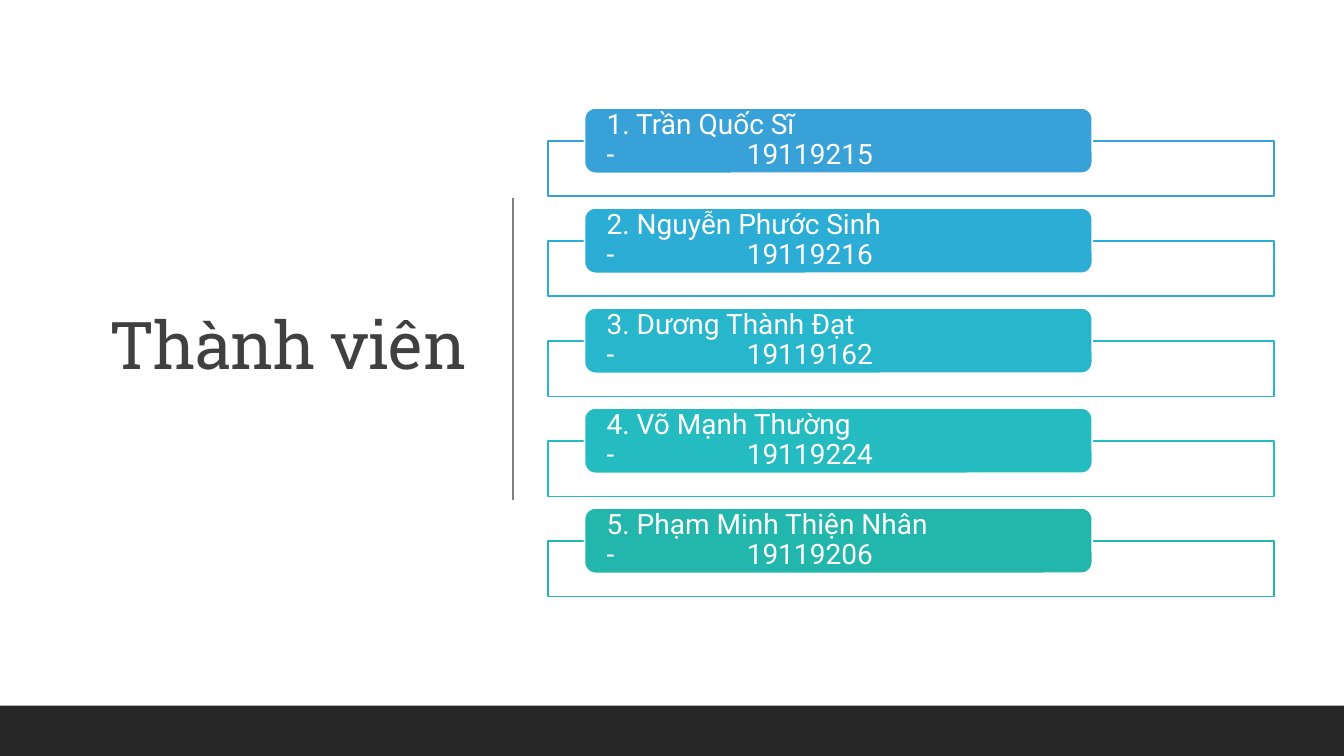
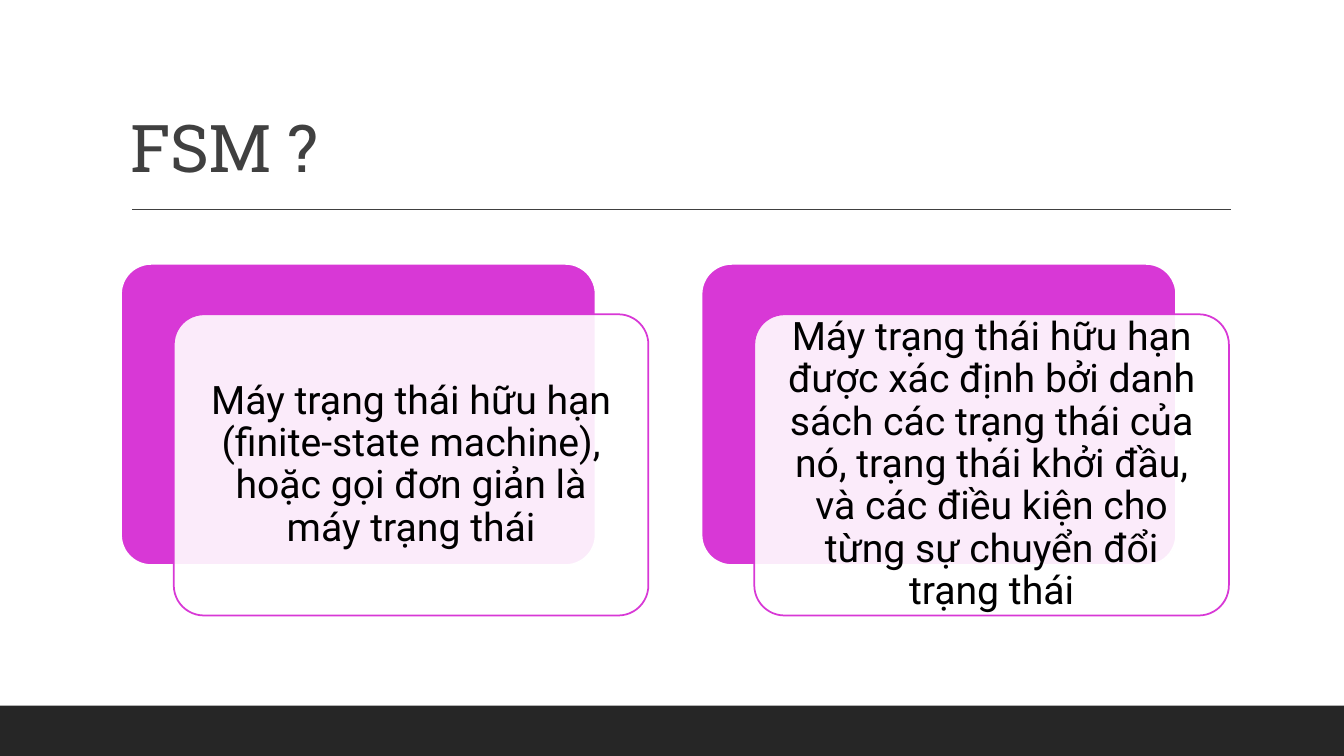
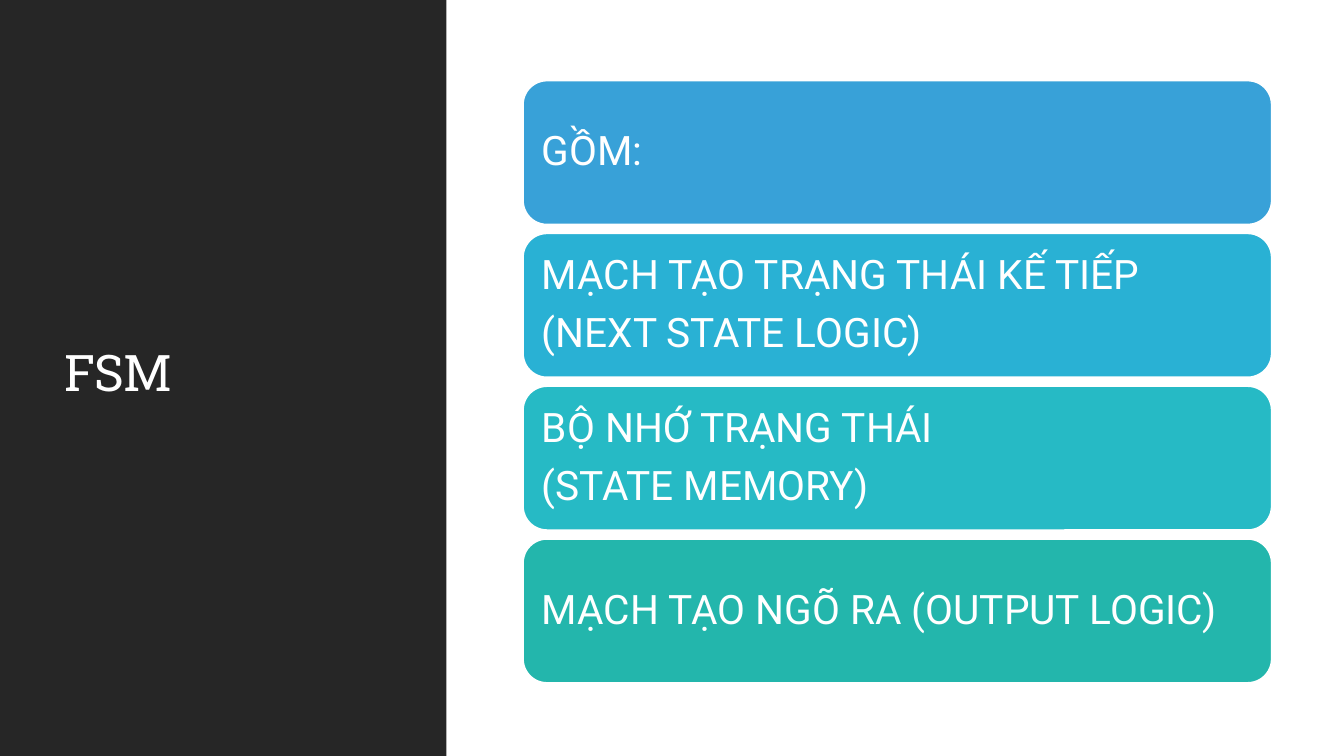
from lxml import etree
from pptx import Presentation
from pptx.dml.color import RGBColor
from pptx.enum import shapes, text
from pptx.oxml import ns
from pptx.util import Cm, Pt

WHITE = RGBColor(0xFF, 0xFF, 0xFF)
BLACK = RGBColor(0, 0, 0)
DARK = RGBColor(0x26, 0x26, 0x26)
SLATE = RGBColor(0x40, 0x40, 0x40)
GREY = RGBColor(0x80, 0x80, 0x80)
PINK = RGBColor(0xD8, 0x38, 0xD6)
BLUE = RGBColor(0x38, 0xA1, 0xD8)
GREEN = RGBColor(0x23, 0xB6, 0xAC)
SKY = RGBColor(0x2C, 0xAD, 0xD6)
CYAN = RGBColor(0x28, 0xB6, 0xCD)
TEAL = RGBColor(0x25, 0xBC, 0xC1)
AZURE = RGBColor(0x29, 0xB1, 0xD4)
AQUA = RGBColor(0x26, 0xBA, 0xC5)

HEAD = "Roboto Slab"
BODY = "Roboto"
WIDE, HIGH = 33.87, 19.05
RECT = shapes.MSO_SHAPE.RECTANGLE
ROUND = shapes.MSO_SHAPE.ROUNDED_RECTANGLE
LEFT, MID, RIGHT = text.PP_ALIGN.LEFT, text.PP_ALIGN.CENTER, text.PP_ALIGN.RIGHT

MEMBERS = [
    ("1. Trần Quốc Sĩ", "19119215", BLUE),
    ("2. Nguyễn Phước Sinh", "19119216", SKY),
    ("3. Dương Thành Đạt", "19119162", CYAN),
    ("4. Võ Mạnh Thường", "19119224", TEAL),
    ("5. Phạm Minh Thiện Nhân", "19119206", GREEN),
]
FACTS = [
    "Máy trạng thái hữu hạn (finite-state machine), hoặc gọi đơn giản là "
    "máy trạng thái",
    "Máy trạng thái hữu hạn được xác định bởi danh sách các trạng thái của nó, "
    "trạng thái khởi đầu, và các điều kiện cho từng sự chuyển đổi trạng thái",
]
PARTS = [
    ("GỒM:", BLUE),
    ("MẠCH TẠO TRẠNG THÁI KẾ TIẾP\n(NEXT STATE LOGIC)", AZURE),
    ("BỘ NHỚ TRẠNG THÁI\n(STATE MEMORY)", AQUA),
    ("MẠCH TẠO NGÕ RA (OUTPUT LOGIC)", GREEN),
]


def add_box(slide, kind, place, fill, line=None, adj=None, clear=False):
    box = slide.shapes.add_shape(kind, *[Cm(n) for n in place])
    box.shadow.inherit = False
    box.fill.solid()
    box.fill.fore_color.rgb = fill
    if clear:
        tint = box.fill._xPr.find(".//" + ns.qn("a:srgbClr"))
        etree.SubElement(tint, ns.qn("a:alpha"), val="90000")
    if line is None:
        box.line.fill.background()
    else:
        box.line.color.rgb = line
        box.line.width = Pt(1.25)
    if adj is not None:
        box.adjustments[0] = adj
    return box


def add_line(slide, start, end, color):
    rule = slide.shapes.add_connector(
        shapes.MSO_CONNECTOR.STRAIGHT, *[Cm(n) for n in start + end])
    rule.line.color.rgb = color
    rule.line.width = Pt(1)
    etree.SubElement(rule._element.spPr, ns.qn("a:effectLst"))


def write(shape, words, size, color, font=BODY, align=LEFT, after=0.35):
    frame = shape.text_frame
    frame.word_wrap = True
    frame.vertical_anchor = text.MSO_ANCHOR.MIDDLE
    frame.text = words
    for para in frame.paragraphs:
        para.alignment = align
        para.line_spacing = 0.9
        para.space_after = Pt(round(size * after))
        for run in para.runs:
            run.font.name = font
            run.font.size = Pt(size)
            run.font.color.rgb = color
    return frame


def pad(frame, side, edge):
    frame.margin_left = frame.margin_right = Cm(side)
    frame.margin_top = frame.margin_bottom = Cm(edge)


def add_title(slide, words, place, size=47, color=SLATE, align=LEFT):
    box = slide.shapes.add_textbox(*[Cm(n) for n in place])
    frame = write(box, words, size, color, HEAD, align, 0)
    for run in frame.paragraphs[0].runs:
        run._r.get_or_add_rPr().set("spc", "-50")
    return frame


def add_band(slide):
    add_box(slide, RECT, (0, 17.78, WIDE, 1.27), DARK)


def add_stop(para, place):
    tabs = etree.SubElement(para._p.get_or_add_pPr(), ns.qn("a:tabLst"))
    etree.SubElement(tabs, ns.qn("a:tab"), pos=str(Cm(place)), algn="l")


def add_member(slide, top, name, code, color):
    add_box(slide, RECT, (13.82, top + 0.83, 18.29, 1.4), WHITE, color,
            clear=True)
    pill = add_box(slide, ROUND, (14.73, top, 12.8, 1.65), color, WHITE)
    frame = write(pill, f"{name}\v-\t{code}", 20, WHITE)
    pad(frame, 0.48, 0)
    add_stop(frame.paragraphs[0], 3.53)


def add_card(slide, left, words):
    top, size = 6.65, (11.96, 7.59)
    add_box(slide, ROUND, (left, top, *size), PINK, WHITE, 0.1)
    card = add_box(slide, ROUND, (left + 1.33, top + 1.27, *size), WHITE, PINK,
                   0.1, True)
    pad(write(card, words, 28, BLACK, align=MID), 0.3, 0.3)


def add_part(slide, top, words, color):
    bar = add_box(slide, ROUND, (13.18, top, 18.87, 3.63), color, WHITE)
    pad(write(bar, words, 29, WHITE), 0.3, 0.3)


def show_team(slide):
    add_title(slide, "Thành viên", (1.78, 1.75, 10.24, 14.05), align=RIGHT)
    add_line(slide, (12.93, 4.98), (12.93, 12.6), GREY)
    add_band(slide)
    for row, (name, code, color) in enumerate(MEMBERS):
        add_member(slide, 2.72 + row * 2.52, name, code, color)


def show_facts(slide):
    frame = add_title(slide, "FSM ?", (3.05, 0.79, 27.94, 4.04))
    frame.vertical_anchor = text.MSO_ANCHOR.BOTTOM
    add_line(slide, (3.33, 5.28), (31.01, 5.28), SLATE)
    add_band(slide)
    for col, words in enumerate(FACTS):
        add_card(slide, 3.05 + col * 14.63, words)


def show_parts(slide):
    add_box(slide, RECT, (0, 0, 11.25, HIGH), DARK)
    add_title(slide, "FSM", (1.37, 1.45, 8.56, 16.03), 36, WHITE)
    for row, (words, color) in enumerate(PARTS):
        add_part(slide, 2.03 + row * 3.85, words, color)


def main():
    deck = Presentation()
    deck.slide_width, deck.slide_height = Cm(WIDE), Cm(HIGH)
    for show in (show_team, show_facts, show_parts):
        show(deck.slides.add_slide(deck.slide_layouts[6]))
    deck.save("out.pptx")


if __name__ == "__main__":
    main()
